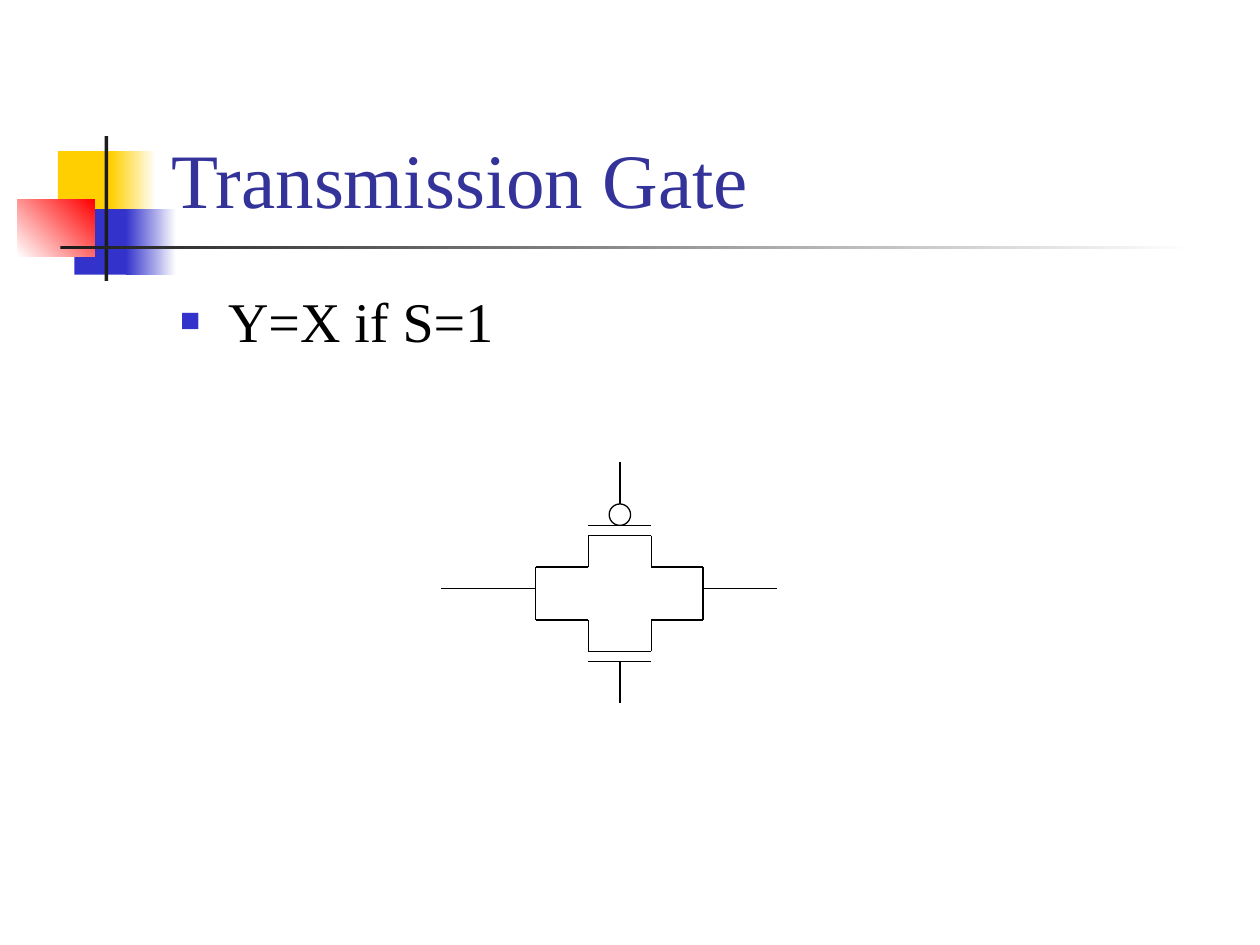
from lxml.etree import SubElement
from pptx import Presentation
from pptx.dml.color import RGBColor
from pptx.enum.shapes import MSO_CONNECTOR, MSO_SHAPE
from pptx.enum.text import MSO_ANCHOR, MSO_AUTO_SIZE, PP_ALIGN
from pptx.oxml.ns import qn
from pptx.util import Inches, Pt

COLORS = {
    "yellow": "FFCF01",
    "blue": "3333CC",
    "red": "FF0000",
    "white": "FFFFFF",
    "charcoal": "1C1C1C",
    "title": "333399",
    "black": "000000",
}
FONT = "Times New Roman"

# Left, top, width, height, start colour, end colour (None = solid), angle
DECORATION = [
    (0.46, 1.2, 0.48, 0.52, "yellow", None, 0),
    (0.88, 1.2, 0.36, 0.52, "yellow", "white", 0),
    (0.59, 1.66, 0.46, 0.52, "blue", None, 0),
    (1, 1.66, 0.4, 0.52, "blue", "white", 0),
    (0.14, 1.58, 0.61, 0.46, "white", "red", 45),
    (0.83, 1.08, 0.03, 1.15, "charcoal", None, 0),
    (0.48, 1.95, 9, 0.03, "charcoal", "white", 0),
]

# Circuit grid
NODE_LEFT, CHANNEL_LEFT, CENTER, CHANNEL_RIGHT, NODE_RIGHT = 4.25, 4.67, 4.92, 5.17, 5.58
WIRE_Y = 4.67
BUBBLE_SIZE = 0.17


def color(name):
    return RGBColor.from_string(COLORS[name])


def add_block(slide, left, top, width, height, start, end, angle):
    block = slide.shapes.add_shape(
        MSO_SHAPE.RECTANGLE, Inches(left), Inches(top), Inches(width), Inches(height)
    )
    block.shadow.inherit = False
    block.line.fill.background()
    if end is None:
        block.fill.solid()
        block.fill.fore_color.rgb = color(start)
        return
    block.fill.gradient()
    block.fill.gradient_angle = angle
    for stop, name in zip(block.fill.gradient_stops, (start, end)):
        stop.color.rgb = color(name)


def fill_placeholder(placeholder, text, box, size, color_name):
    """Place the placeholder, write its single paragraph and return that paragraph."""
    placeholder.left, placeholder.top, placeholder.width, placeholder.height = map(Inches, box)
    text_frame = placeholder.text_frame
    text_frame.text = text
    text_frame.word_wrap = True
    text_frame.auto_size = MSO_AUTO_SIZE.NONE
    paragraph = text_frame.paragraphs[0]
    paragraph.alignment = PP_ALIGN.LEFT
    paragraph.space_before = Pt(0)
    font = paragraph.runs[0].font
    font.name, font.size = FONT, Pt(size)
    font.color.rgb = color(color_name)
    return paragraph


def add_square_bullet(paragraph):
    properties = paragraph._p.get_or_add_pPr()
    properties.set("marL", str(Inches(0.38)))
    properties.set("indent", str(-Inches(0.38)))
    bullet_color = SubElement(properties, qn("a:buClr"))
    SubElement(bullet_color, qn("a:srgbClr"), val=COLORS["blue"])
    SubElement(properties, qn("a:buSzPct"), val="60000")
    SubElement(properties, qn("a:buChar"), char="■")


def add_wire(group, x1, y1, x2, y2):
    wire = group.shapes.add_connector(
        MSO_CONNECTOR.STRAIGHT, Inches(x1), Inches(y1), Inches(x2), Inches(y2)
    )
    wire.line.width = Pt(0.75)
    wire.line.color.rgb = color("black")
    SubElement(wire._element.spPr, qn("a:effectLst"))


def add_transistor(group, terminal, gate, channel, node):
    """Draw a transistor from the y of its gate terminal, gate, channel and nodes."""
    add_wire(group, CENTER, terminal[0], CENTER, terminal[1])
    for y in (gate, channel):
        add_wire(group, CHANNEL_LEFT, y, CHANNEL_RIGHT, y)
    for channel_x, node_x in ((CHANNEL_LEFT, NODE_LEFT), (CHANNEL_RIGHT, NODE_RIGHT)):
        add_wire(group, channel_x, channel, channel_x, node)
        add_wire(group, channel_x, node, node_x, node)


def add_inverting_bubble(group, top):
    bubble = group.shapes.add_shape(
        MSO_SHAPE.OVAL, Inches(CENTER - BUBBLE_SIZE / 2), Inches(top),
        Inches(BUBBLE_SIZE), Inches(BUBBLE_SIZE),
    )
    bubble.shadow.inherit = False
    bubble.fill.background()
    bubble.line.width = Pt(0.75)
    bubble.line.color.rgb = color("black")


def add_transmission_gate(slide):
    group = slide.shapes.add_group_shape()
    upper_node, lower_node = 4.5, 4.92
    add_transistor(group, (3.67, 4), gate=4.17, channel=4.25, node=upper_node)
    add_inverting_bubble(group, 4)
    add_transistor(group, (5.58, 5.25), gate=5.25, channel=5.17, node=lower_node)
    for node_x, wire_end in ((NODE_LEFT, 3.5), (NODE_RIGHT, 6.17)):
        add_wire(group, node_x, upper_node, node_x, lower_node)
        add_wire(group, node_x, WIRE_Y, wire_end, WIRE_Y)


def main():
    presentation = Presentation()
    presentation.slide_width, presentation.slide_height = Inches(10), Inches(7.5)
    slide = presentation.slides.add_slide(presentation.slide_layouts[1])
    title, body = slide.shapes.title, slide.placeholders[1]

    for block in DECORATION:
        add_block(slide, *block)
    for placeholder in (title, body):  # bring the text in front of the decoration
        slide.shapes._spTree.append(placeholder._element)

    fill_placeholder(title, "Transmission Gate", (1.26, 0.23, 8.52, 1.6), 44, "title")
    title.text_frame.vertical_anchor = MSO_ANCHOR.BOTTOM
    statement = fill_placeholder(body, "Y=X if S=1", (1.33, 2.17, 8.5, 0.83), 32, "black")
    body.text_frame.margin_top = Inches(0.1)
    add_square_bullet(statement)

    add_transmission_gate(slide)
    presentation.save("out.pptx")


if __name__ == "__main__":
    main()
